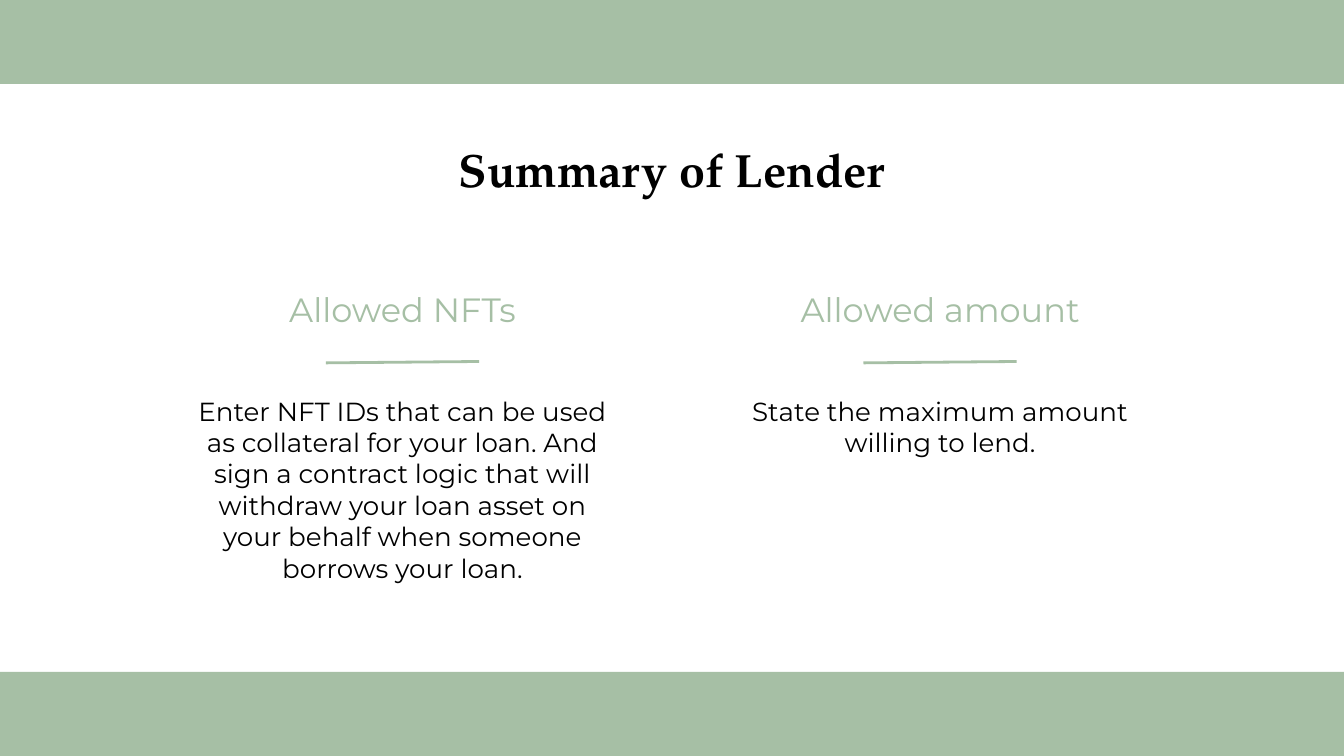
import pptx
import pptx.dml.color
import pptx.enum.shapes
import pptx.enum.text
import pptx.oxml
import pptx.util
from pptx.util import Inches

GREEN = "A6BFA5"
BLACK = "000000"
PAGE_WIDTH = 10
PAGE_HEIGHT = PAGE_WIDTH * 9 / 16
BAND_HEIGHT = PAGE_HEIGHT / 9
COLUMN_WIDTH = 3.29
RULE_WIDTH = 1.14

TITLE = {"name": "TeX Gyre Pagella", "size": pptx.util.Pt(25), "bold": True}
HEADING = {"name": "Montserrat", "size": pptx.util.Pt(18)}
BODY = {"name": "Montserrat", "size": pptx.util.Pt(14)}

COLUMNS = [
    ("Allowed NFTs",
     "Enter NFT IDs that can be used as collateral for your loan. And sign a "
     "contract logic that will withdraw your loan asset on your behalf when "
     "someone borrows your loan."),
    ("Allowed amount", "State the maximum amount willing to lend."),
]


def color(value):
    return pptx.dml.color.RGBColor.from_string(value)


def add_band(page, left, top, width, height):
    band = page.shapes.add_shape(
        pptx.enum.shapes.MSO_SHAPE.RECTANGLE,
        Inches(left), Inches(top), Inches(width), Inches(height))
    band.shadow.inherit = False
    band.fill.solid()
    band.fill.fore_color.rgb = color(GREEN)
    band.line.fill.background()


def add_text(page, left, top, width, height, text, font, ink,
             anchor="TOP", space_after=0):
    box = page.shapes.add_textbox(
        Inches(left), Inches(top), Inches(width), Inches(height))
    frame = box.text_frame
    layout = {
        "word_wrap": True,
        "vertical_anchor": getattr(pptx.enum.text.MSO_ANCHOR, anchor),
    }
    for side in ("left", "top", "right", "bottom"):
        layout[f"margin_{side}"] = Inches(0.1)
    for name, value in layout.items():
        setattr(frame, name, value)
    para = frame.paragraphs[0]
    para.alignment = pptx.enum.text.PP_ALIGN.CENTER
    para.space_after = pptx.util.Pt(space_after)
    span = para.add_run()
    span.text = text
    for name, value in font.items():
        setattr(span.font, name, value)
    span.font.color.rgb = color(ink)


def add_rule(page, left, top, width, rise):
    rule = page.shapes.add_connector(
        pptx.enum.shapes.MSO_CONNECTOR.STRAIGHT,
        Inches(left), Inches(top), Inches(left + width), Inches(top - rise))
    rule.line.color.rgb = color(GREEN)
    rule.line.width = pptx.util.Pt(1.5)
    properties = rule._element.spPr
    properties.append(pptx.oxml.parse_xml(
        '<a:effectLst xmlns:a='
        '"http://schemas.openxmlformats.org/drawingml/2006/main"/>'))


def add_column(page, left, top, width, heading, body):
    add_text(page, left, top, width, 0.56, heading, HEADING, GREEN, "BOTTOM")
    add_rule(page, left + (width - RULE_WIDTH) / 2, top + 0.71, RULE_WIDTH, 0.01)
    add_text(page, left, top + 0.85, width, 1.27, body, BODY, BLACK,
             space_after=16)


def main():
    deck = pptx.Presentation()
    deck.slide_width = Inches(PAGE_WIDTH)
    deck.slide_height = Inches(PAGE_HEIGHT)
    page = deck.slides.add_slide(deck.slide_layouts[6])
    for top in (0, PAGE_HEIGHT - BAND_HEIGHT):
        add_band(page, 0, top, PAGE_WIDTH, BAND_HEIGHT)
    add_text(page, 0.73, 0.95, 8.54, 0.7, "Summary of Lender", TITLE, BLACK)
    for index, (heading, body) in enumerate(COLUMNS):
        add_column(page, 1.35 + 4 * index, 1.99, COLUMN_WIDTH, heading, body)
    deck.save("out.pptx")


if __name__ == "__main__":
    main()
